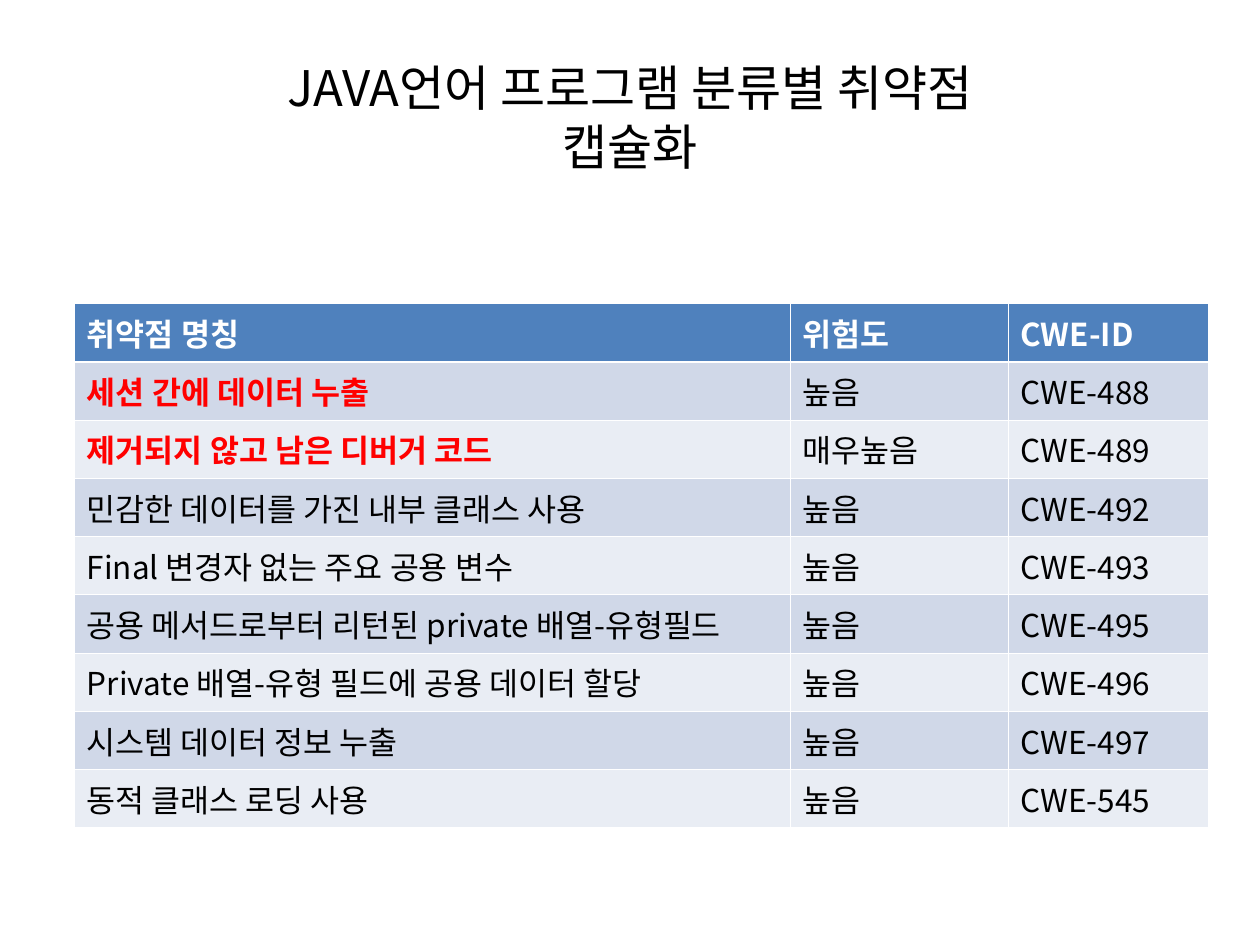
"""Build a slide listing Java encapsulation weaknesses with severity and CWE number."""
from lxml import etree
from pptx import Presentation
from pptx import util as u
from pptx.dml.color import RGBColor
from pptx.enum import text
from pptx.oxml import ns

FONT = "Noto Sans CJK KR"
COLORS = {"black": "000000", "white": "FFFFFF", "alert": "FF0000",
          "header": "4F81BD", "odd": "D0D8E8", "even": "E9EDF4"}
TITLE = "JAVA언어 프로그램 분류별 취약점\v캡슐화"
HEADER = ("취약점 명칭", "위험도", "CWE-ID")
WEAKNESSES = [
    ("세션 간에 데이터 누출", "높음", "CWE-488"),
    ("제거되지 않고 남은 디버거 코드", "매우높음", "CWE-489"),
    ("민감한 데이터를 가진 내부 클래스 사용", "높음", "CWE-492"),
    ("Final 변경자 없는 주요 공용 변수", "높음", "CWE-493"),
    ("공용 메서드로부터 리턴된 private 배열-유형필드", "높음", "CWE-495"),
    ("Private 배열-유형 필드에 공용 데이터 할당", "높음", "CWE-496"),
    ("시스템 데이터 정보 누출", "높음", "CWE-497"),
    ("동적 클래스 로딩 사용", "높음", "CWE-545"),
]
HIGHLIGHTED = {"CWE-488", "CWE-489"}
COLUMN_WIDTHS = (5.68, 1.73, 1.59)
ROW_HEIGHT = 0.41
THIN, THICK = 0.45, 1.47


def rgb(name):
    return RGBColor.from_string(COLORS[name])


def style_paragraph(p, size, color, bold=False):
    p.font.name = FONT
    p.font.size = u.Pt(size)
    p.font.bold = bold
    p.font.color.rgb = rgb(color)
    defaults = p._p.pPr.find(ns.qn("a:defRPr"))
    etree.SubElement(defaults, ns.qn("a:ea"), typeface=FONT)


def set_borders(cell, widths):
    tc_pr = cell._tc.get_or_add_tcPr()
    for side, width in zip("LRTB", widths):
        line = etree.SubElement(tc_pr, ns.qn(f"a:ln{side}"), w=str(int(u.Pt(width))))
        fill = etree.SubElement(line, ns.qn("a:solidFill"))
        etree.SubElement(fill, ns.qn("a:srgbClr"), val=COLORS["white"])


def add_title(s):
    sp = s.shapes.title
    sp.left, sp.top, sp.width, sp.height = map(u.Inches, (0.5, 0.3, 9, 1.25))
    tf = sp.text_frame
    tf.vertical_anchor = text.MSO_ANCHOR.MIDDLE
    p = tf.paragraphs[0]
    p.text = TITLE
    p.alignment = text.PP_ALIGN.CENTER
    style_paragraph(p, 28, "black")


def add_weakness_table(s):
    rows = [HEADER, *WEAKNESSES]
    table = s.shapes.add_table(
        len(rows), len(HEADER), u.Inches(0.59), u.Inches(2.41),
        u.Inches(sum(COLUMN_WIDTHS)), u.Inches(ROW_HEIGHT * len(rows))).table
    for column, width in zip(table.columns, COLUMN_WIDTHS):
        column.width = u.Inches(width)
    for i, row in enumerate(rows):
        table.rows[i].height = u.Inches(ROW_HEIGHT)
        band = "header" if i == 0 else "odd" if i % 2 else "even"
        top, bottom = THICK if i == 1 else THIN, THICK if i == 0 else THIN
        for j, value in enumerate(row):
            cell = table.cell(i, j)
            set_borders(cell, (THIN, THIN, top, bottom))
            cell.fill.solid()
            cell.fill.fore_color.rgb = rgb(band)
            p = cell.text_frame.paragraphs[0]
            p.text = value
            alert = j == 0 and row[-1] in HIGHLIGHTED
            color = "white" if i == 0 else "alert" if alert else "black"
            style_paragraph(p, 18, color, bold=i == 0 or alert)


def main():
    prs = Presentation()
    prs.slide_width, prs.slide_height = u.Inches(10), u.Inches(7.5)
    s = prs.slides.add_slide(prs.slide_layouts[5])
    add_title(s)
    add_weakness_table(s)
    prs.save("out.pptx")


if __name__ == "__main__":
    main()
